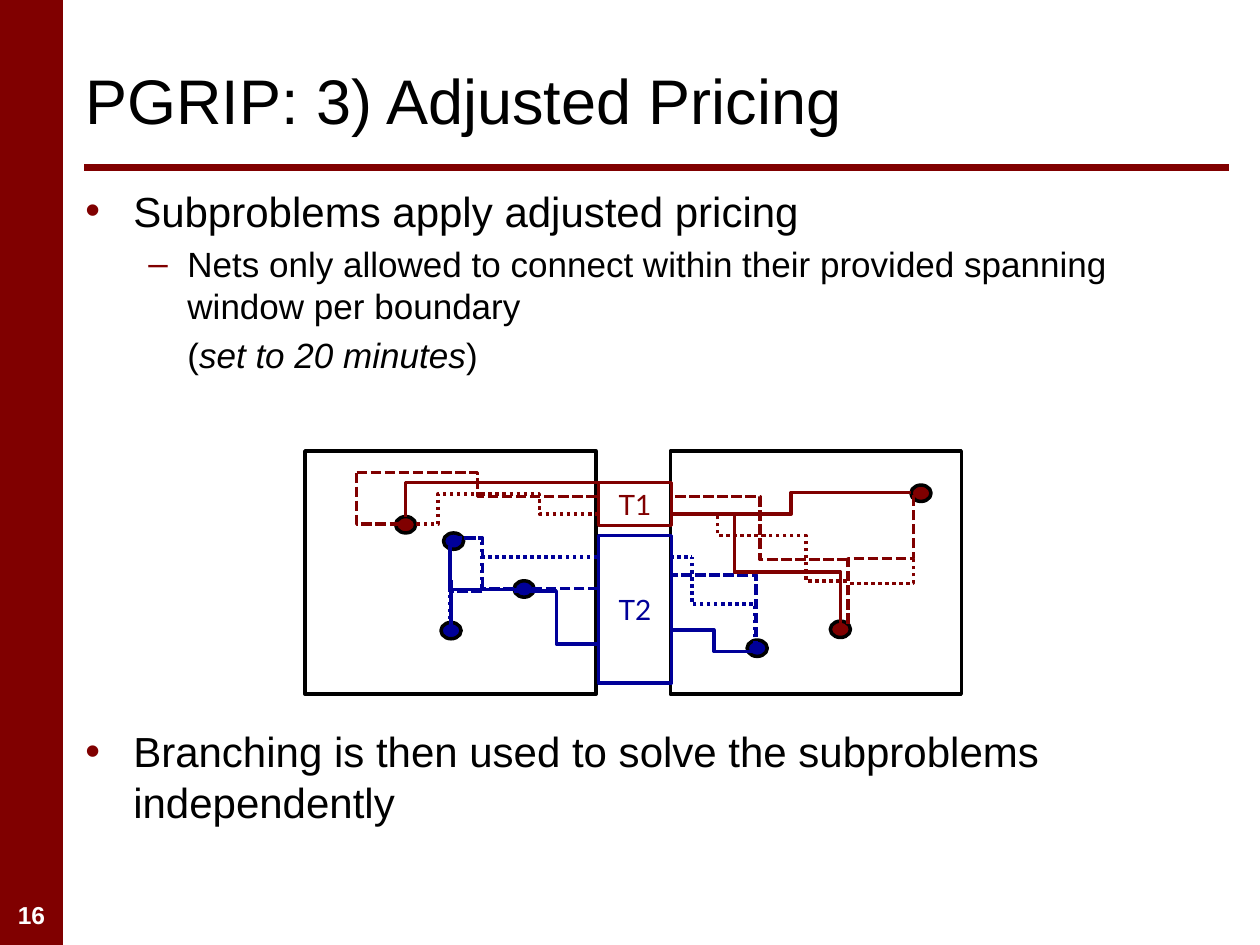
from lxml.etree import SubElement
from pptx import Presentation
from pptx.dml.color import RGBColor
from pptx.enum.dml import MSO_LINE
from pptx.enum.shapes import MSO_CONNECTOR, MSO_SHAPE
from pptx.enum.text import MSO_ANCHOR, PP_ALIGN
from pptx.oxml.ns import qn
from pptx.util import Pt

EMU_PER_PX = 9144  # 100 px to the inch
RED, BLUE, BLACK, WHITE = "800000", "000099", "000000", "FFFFFF"
DASH, DOT = MSO_LINE.SQUARE_DOT, MSO_LINE.ROUND_DOT


def px(value):
    return round(value * EMU_PER_PX)


def color(hex_string):
    return RGBColor.from_string(hex_string)


def style_line(line, hex_string, width=2, dash=None):
    line.color.rgb = color(hex_string)
    line.width = Pt(width)
    if dash is not None:
        line.dash_style = dash


def style_font(font, size, hex_string=BLACK, name="Arial"):
    font.name = name
    font.size = Pt(size)
    font.color.rgb = color(hex_string)


def add_block(slide, kind, box, fill=None, outline=None):
    block = slide.shapes.add_shape(kind, *map(px, box))
    block.shadow.inherit = False
    if fill:
        block.fill.solid()
        block.fill.fore_color.rgb = color(fill)
    else:
        block.fill.background()
    if outline:
        style_line(block.line, outline)
    else:
        block.line.fill.background()
    return block


def add_text(slide, box, anchor=MSO_ANCHOR.TOP):
    frame = slide.shapes.add_textbox(*map(px, box)).text_frame
    frame.word_wrap = True
    frame.vertical_anchor = anchor
    return frame


def format_item(paragraph, size, margin, indent, bullet=None):
    """Set the font, the hanging indent and the bullet of a body paragraph."""
    paragraph.space_before = Pt(size * 0.2)
    for run in paragraph.runs:
        style_font(run.font, size)
    properties = paragraph._p.get_or_add_pPr()
    properties.set("marL", str(px(margin)))
    properties.set("indent", str(px(indent)))
    if bullet:
        bullet_color = SubElement(properties, qn("a:buClr"))
        SubElement(bullet_color, qn("a:srgbClr")).set("val", RED)
        SubElement(properties, qn("a:buFont")).set("typeface", "Arial")
        SubElement(properties, qn("a:buChar")).set("char", bullet)


def add_line(slide, start, end, hex_string, width=2, dash=None, kind=MSO_CONNECTOR.STRAIGHT):
    line = slide.shapes.add_connector(kind, *map(px, (*start, *end)))
    style_line(line.line, hex_string, width, dash)
    SubElement(line._element.spPr, qn("a:effectLst"))
    return line


def add_elbow(slide, start, end, hex_string, dash=None, upright=False, bend=None, corner=False):
    """Draw an elbow; upright ones leave their start vertically."""
    (x1, y1), (x2, y2) = start, end
    center_x, center_y = (x1 + x2) / 2, (y1 + y2) / 2
    half_x, half_y = (x2 - x1) / 2, (y2 - y1) / 2
    if upright:
        turn = 270 if half_x * half_y > 0 else 90
    else:
        turn = 180 if half_x < 0 else 0
    # Undo the turn on the end points, then apply it to the connector
    half_x, half_y = {0: (half_x, half_y), 90: (half_y, -half_x),
                      180: (-half_x, -half_y), 270: (-half_y, half_x)}[turn]
    elbow = add_line(slide, (center_x - half_x, center_y - half_y),
                     (center_x + half_x, center_y + half_y),
                     hex_string, dash=dash, kind=MSO_CONNECTOR.ELBOW)
    properties = elbow._element.spPr
    if turn:
        properties.find(qn("a:xfrm")).set("rot", str(turn * 60000))
    geometry = properties.find(qn("a:prstGeom"))
    if corner:
        geometry.set("prst", "bentConnector2")
    if bend is not None:
        guide = SubElement(geometry.find(qn("a:avLst")), qn("a:gd"))
        guide.set("name", "adj1")
        guide.set("fmla", f"val {round(bend * 100000)}")


def add_route(slide, points, hex_string, dash):
    start, *others = [(px(x), px(y)) for x, y in points]
    builder = slide.shapes.build_freeform(*start, scale=1.0)
    builder.add_line_segments(others, close=False)
    route = builder.convert_to_shape()
    route.shadow.inherit = False
    route.fill.background()
    style_line(route.line, hex_string, dash=dash)


def add_frame_and_title(slide):
    add_block(slide, MSO_SHAPE.RECTANGLE, (0, 0, 50, 750), fill=RED)
    add_line(slide, (67, 133), (975, 133), RED, width=4)

    number = add_text(slide, (0, 709, 50, 33)).paragraphs[0]
    number.text = "16"
    number.alignment = PP_ALIGN.CENTER
    style_font(number.runs[0].font, 14, WHITE)
    number.runs[0].font.bold = True

    title = add_text(slide, (58, 25, 917, 108), MSO_ANCHOR.MIDDLE).paragraphs[0]
    title.text = "PGRIP: 3) Adjusted Pricing"
    style_font(title.runs[0].font, 36)


def add_body(slide):
    pricing = add_text(slide, (58, 142, 917, 170))
    heading = pricing.paragraphs[0]
    heading.text = "Subproblems apply adjusted pricing"
    format_item(heading, 24, 38, -38, "•")

    rule = pricing.add_paragraph()
    rule.text = "Nets only allowed to connect within their provided spanning window per boundary"
    format_item(rule, 20, 81, -31, "–")

    limit = pricing.add_paragraph()
    for part in ("(", "set to 20 minutes", ")"):
        limit.add_run().text = part
    limit.runs[1].font.italic = True
    format_item(limit, 20, 81, 0)

    branching = add_text(slide, (58, 571, 917, 100)).paragraphs[0]
    branching.text = "Branching is then used to solve the subproblems independently"
    format_item(branching, 24, 38, -38, "•")


def add_regions(slide):
    # Two regions with the boundary windows between them
    for left in (532, 242):
        add_block(slide, MSO_SHAPE.RECTANGLE, (left, 358, 231, 193), outline=BLACK)
    for label, top, height, hue in (("T1", 383, 34, RED), ("T2", 425, 117, BLUE)):
        window = add_block(slide, MSO_SHAPE.RECTANGLE, (475, top, 58, height), outline=hue)
        window.text_frame.vertical_anchor = MSO_ANCHOR.MIDDLE
        name = window.text_frame.paragraphs[0]
        name.text = label
        name.alignment = PP_ALIGN.CENTER
        style_font(name.runs[0].font, 16, hue, "Lato")

    # Pins of the two nets
    pins = {RED: ((314, 410), (659, 493), (723, 385)),
            BLUE: ((408, 461), (352, 423), (350, 494), (593, 508))}
    for hue, corners in pins.items():
        for left, top in corners:
            add_block(slide, MSO_SHAPE.OVAL, (left, top, 16, 13), hue, BLACK)


def add_nets(slide):
    # Dashed candidates
    add_elbow(slide, (673, 495), (725, 392), RED, DASH, upright=True)
    add_elbow(slide, (673, 444), (533, 394), RED, DASH)
    add_elbow(slide, (283, 375), (475, 394), RED, DASH)
    add_elbow(slide, (283, 375), (314, 416), RED, DASH, upright=True, corner=True)
    add_line(slide, (475, 467), (383, 467), BLUE, dash=DASH)
    add_elbow(slide, (600, 517), (533, 442), BLUE, DASH, upright=True, bend=0.81)

    # Solid candidates
    add_elbow(slide, (322, 410), (475, 383), RED, upright=True, corner=True)
    add_elbow(slide, (475, 511), (408, 469), BLUE)
    add_elbow(slide, (416, 468), (357, 433), BLUE, corner=True)
    add_line(slide, (358, 497), (358, 460), BLUE)
    add_elbow(slide, (600, 517), (533, 500), BLUE)
    add_elbow(slide, (533, 408), (723, 391), RED)
    add_elbow(slide, (583, 408), (667, 500), RED, upright=True)

    # Dotted candidates
    add_elbow(slide, (607, 425), (532, 408), RED, DOT)
    add_elbow(slide, (673, 495), (725, 392), RED, DOT, upright=True, bend=0.31)
    add_elbow(slide, (382, 392), (474, 408), RED, DOT)
    add_elbow(slide, (382, 392), (313, 416), RED, DOT)
    add_line(slide, (474, 442), (382, 442), BLUE, dash=DOT)
    add_elbow(slide, (599, 517), (549, 442), BLUE, DOT, upright=True)
    add_elbow(slide, (672, 461), (607, 425), RED, DOT)
    add_line(slide, (532, 442), (549, 442), BLUE, dash=DOT)

    # Detours between the two left blue pins
    for x, dash in ((358, DASH), (357, DOT)):
        add_route(slide, ((x, 427), (x + 25, 427), (x + 25, 469), (x, 469), (x, 492)), BLUE, dash)


def main():
    deck = Presentation()
    deck.slide_width, deck.slide_height = px(1000), px(750)
    slide = deck.slides.add_slide(deck.slide_layouts[6])
    add_frame_and_title(slide)
    add_body(slide)
    add_regions(slide)
    add_nets(slide)
    deck.save("out.pptx")


if __name__ == "__main__":
    main()
